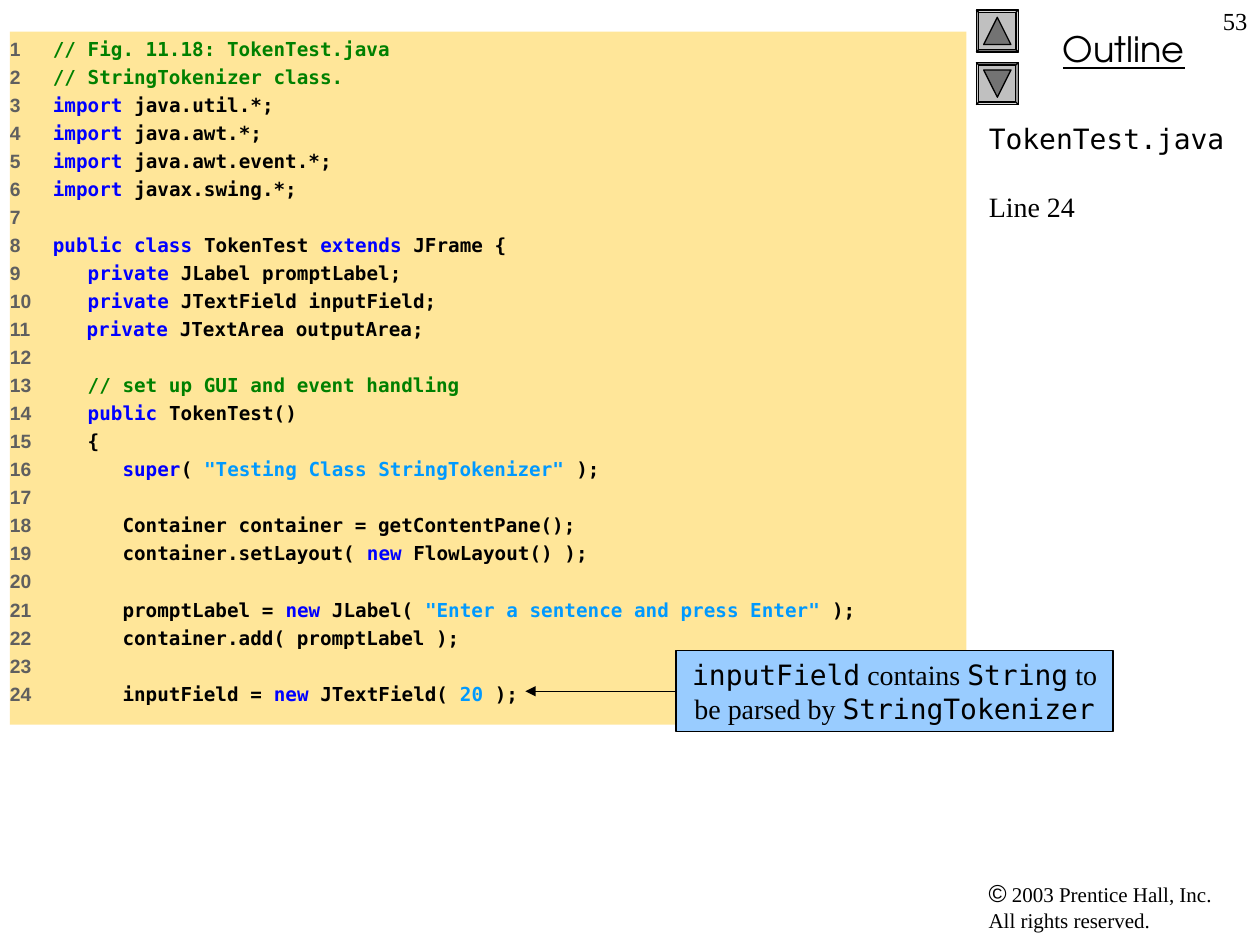
from lxml import etree
from pptx import Presentation
from pptx import util as u
from pptx.dml.color import RGBColor
from pptx.enum import shapes, text
from pptx.oxml.ns import qn

MONO, SERIF, SANS, DISPLAY = "DejaVu Sans Mono", "Times New Roman", "Arial", "TeX Gyre Adventor"
BLACK = "000000"
SYNTAX = {"plain": BLACK, "key": "0000FF", "note": "008000", "value": "0099FF"}
GUTTER = 8

CODE = [
    [("note", "// Fig. 11.18: TokenTest.java")],
    [("note", "// StringTokenizer class.")],
    [("key", "import"), ("plain", " java.util.*;")],
    [("key", "import"), ("plain", " java.awt.*;")],
    [("key", "import"), ("plain", " java.awt.event.*;")],
    [("key", "import"), ("plain", " javax.swing.*;")],
    [],
    [("key", "public class"), ("plain", " TokenTest "), ("key", "extends"), ("plain", " JFrame {")],
    [("key", "   private"), ("plain", " JLabel promptLabel;")],
    [("key", "   private"), ("plain", " JTextField inputField;")],
    [("key", "   private"), ("plain", " JTextArea outputArea;")],
    [],
    [("note", "   // set up GUI and event handling")],
    [("key", "   public"), ("plain", " TokenTest()")],
    [("plain", "   {")],
    [("key", "      super"), ("plain", "( "),
     ("value", '"Testing Class StringTokenizer"'), ("plain", " );")],
    [],
    [("plain", "      Container container = getContentPane();")],
    [("plain", "      container.setLayout( "), ("key", "new"), ("plain", " FlowLayout() );")],
    [],
    [("plain", "      promptLabel = "), ("key", "new"), ("plain", " JLabel( "),
     ("value", '"Enter a sentence and press Enter"'), ("plain", " );")],
    [("plain", "      container.add( promptLabel );")],
    [],
    [("plain", "      inputField = "), ("key", "new"), ("plain", " JTextField( "),
     ("value", "20"), ("plain", " );")],
]
CALLOUT = [("inputField", MONO), (" contains ", SERIF), ("String", MONO),
           (" to be parsed by ", SERIF), ("StringTokenizer", MONO)]
OUTLINE = [("TokenTest.java", MONO, 0), ("Line 24", SERIF, 20)]
BUTTONS = [(0.2, 90, 0), (1.26, 270, 180)]


def colour(value):
    return RGBColor.from_string(value)


def add_span(para, words, font, size, shade=BLACK, bold=False):
    span = para.add_run()
    span.text = words
    span.font.name = font
    span.font.size = u.Pt(size)
    span.font.bold = bold
    span.font.color.rgb = colour(shade)
    return span


def place(shape, left, top, width, height):
    shape.left, shape.top, shape.width, shape.height = map(u.Cm, (left, top, width, height))


def prepare(shape, anchor=text.MSO_ANCHOR.TOP):
    frame = shape.text_frame
    frame.word_wrap = True
    frame.auto_size = text.MSO_AUTO_SIZE.NONE
    frame.vertical_anchor = anchor
    return frame


def next_para(frame, index, align=text.PP_ALIGN.LEFT, before=0):
    para = frame.add_paragraph() if index else frame.paragraphs[0]
    para.alignment = align
    para.space_before = u.Pt(before if index else 0)
    return para


def add_label(slide, position, align=text.PP_ALIGN.LEFT):
    box = slide.shapes.add_textbox(*map(u.Cm, position))
    return next_para(prepare(box), 0, align)


def add_block(slide, kind, position, fill):
    block = slide.shapes.add_shape(kind, *map(u.Cm, position))
    block.shadow.inherit = False
    block.fill.solid()
    block.fill.fore_color.rgb = colour(fill)
    block.line.color.rgb = colour(BLACK)
    block.line.width = u.Pt(0.75)
    return block


def add_button(slide, top, bevel_turn, arrow_turn):
    left, side, inset = 19.68, 0.85, 0.15
    bevel = add_block(slide, shapes.MSO_SHAPE.BEVEL, (left, top, side, side), "C0C0C0")
    bevel.adjustments[0] = 0.06
    bevel.rotation = bevel_turn
    inner = side - 2 * inset
    arrow = add_block(slide, shapes.MSO_SHAPE.ISOSCELES_TRIANGLE,
                      (left + inset, top + inset, inner, inner), "737373")
    arrow.rotation = arrow_turn


def fill_code(panel):
    place(panel, 0.2, 0.64, 19.28, 13.97)
    panel.fill.solid()
    panel.fill.fore_color.rgb = colour("FFE699")
    frame = prepare(panel)
    frame.margin_left = 0
    frame.margin_top = u.Cm(0.11)
    for index, parts in enumerate(CODE):
        para = next_para(frame, index, before=2.8)
        number = str(index + 1)
        indent = " " * (GUTTER - 2 * len(number)) if parts else ""
        add_span(para, number + indent, SANS, 11, "5F5F5F", True)
        for kind, words in parts:
            add_span(para, words, MONO, 11, SYNTAX[kind], True)


def fill_outline(title):
    place(title, 19.68, 2.32, 5.72, 15.24)
    frame = prepare(title)
    for index, (words, font, before) in enumerate(OUTLINE):
        add_span(next_para(frame, index, before=before), words, font, 16)


def add_callout(slide):
    box = add_block(slide, shapes.MSO_SHAPE.RECTANGLE, (13.63, 13.12, 8.81, 1.63), "99CCFF")
    para = next_para(prepare(box, text.MSO_ANCHOR.MIDDLE), 0, text.PP_ALIGN.CENTER)
    for words, font in CALLOUT:
        add_span(para, words, font, 16)
    middle = box.top + box.height // 2
    pointer = slide.shapes.add_connector(shapes.MSO_CONNECTOR.STRAIGHT,
                                         box.left, middle, u.Cm(10.59), middle)
    pointer.begin_connect(box, 1)
    pointer.line.color.rgb = colour(BLACK)
    pointer.line.width = u.Pt(0.75)
    etree.SubElement(pointer.line._get_or_add_ln(), qn("a:tailEnd"), type="triangle")
    etree.SubElement(pointer._element.spPr, qn("a:effectLst"))


def main():
    deck = Presentation()
    deck.slide_width, deck.slide_height = u.Cm(25.4), u.Cm(19.05)
    page = deck.slides.add_slide(deck.slide_layouts[0])
    fill_outline(page.shapes.title)
    fill_code(page.placeholders[1])

    notice = add_label(page, (19.68, 17.58, 5.51, 1.37))
    add_span(notice, "©", SANS, 14)
    add_span(notice, " 2003 Prentice Hall, Inc.", SERIF, 12)
    notice.add_line_break()
    add_span(notice, "All rights reserved.", SERIF, 12)

    heading = add_label(page, (19.9, 0.43, 5.51, 1.12), text.PP_ALIGN.CENTER)
    add_span(heading, "Outline", DISPLAY, 20).font.underline = True
    number = add_label(page, (24.13, 0, 1.27, 1.27), text.PP_ALIGN.RIGHT)
    add_span(number, "53", SERIF, 14)

    for button in BUTTONS:
        add_button(page, *button)
    add_callout(page)
    deck.save("out.pptx")


if __name__ == "__main__":
    main()
